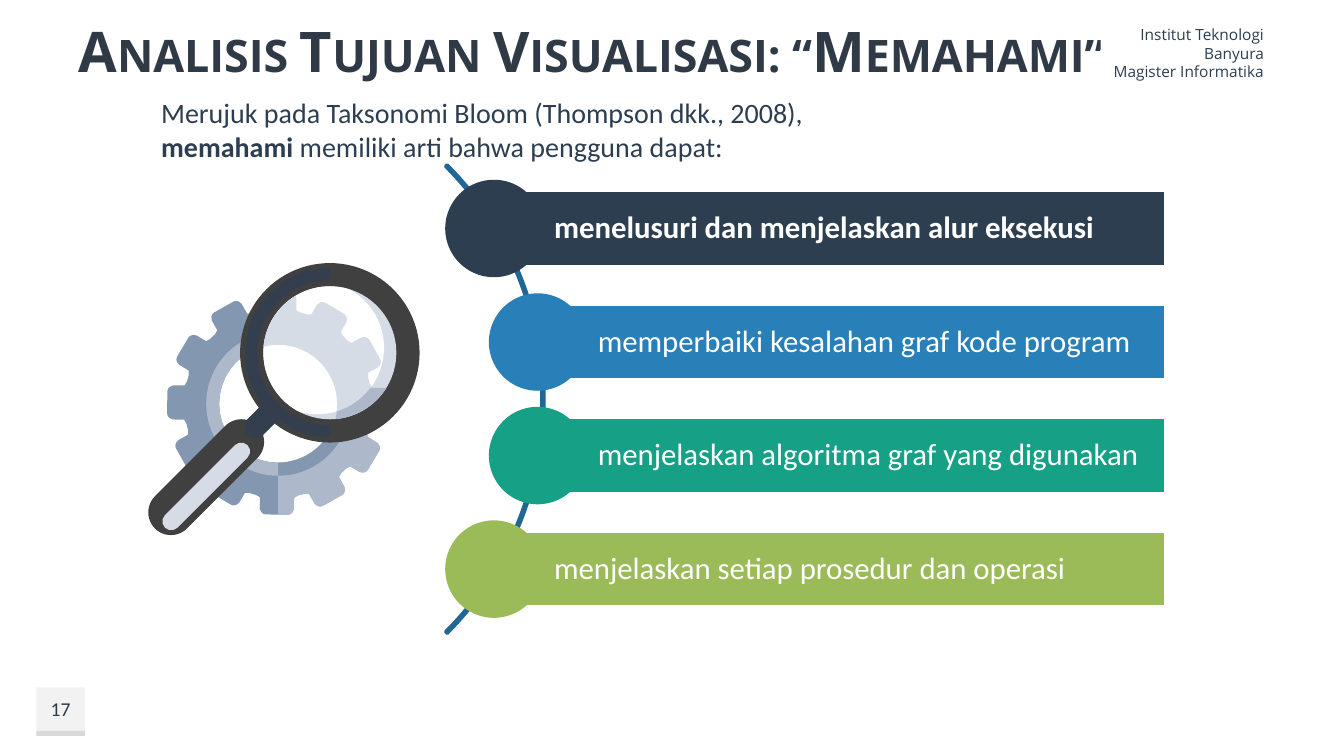
from dataclasses import dataclass
from math import cos, radians, sin, sqrt

from pptx import Presentation
from pptx.dml.color import RGBColor
from pptx.enum.shapes import MSO_SHAPE
from pptx.enum.text import MSO_ANCHOR, PP_ALIGN
from pptx.util import Pt

Point = tuple[float, float]


@dataclass(frozen=True)
class Theme:
    head: str = "Open Sans"
    body: str = "Calibri"
    ink: str = "2F3A46"
    navy: str = "2C3E50"
    blue: str = "2980B9"
    teal: str = "16A085"
    lime: str = "9BBB59"
    arc: str = "216794"
    white: str = "FFFFFF"
    steel: str = "8497B0"
    mist: str = "ADB9CA"
    pale: str = "D6DCE5"
    coal: str = "404040"
    slate: str = "333F4F"
    tile: str = "F2F2F2"
    edge: str = "D9D9D9"
    title: float = 40
    band: float = 22
    lead: float = 20
    page: float = 14
    org: float = 11


@dataclass(frozen=True)
class Band:
    text: str
    left: float
    color: str
    bold: bool = False


@dataclass(frozen=True)
class Bar:
    """Rounded bar laid along the handle's diagonal."""
    mid: Point
    long: float
    wide: float
    color: str


T = Theme()
deck = Presentation()
deck.slide_width, deck.slide_height = Pt(960), Pt(540)
slide = deck.slides.add_slide(deck.slide_layouts[6])


# Drawing helpers
def paint(shape, fill: str | None, line: str | None = None):
    shape.shadow.inherit = False
    if fill:
        shape.fill.solid()
        shape.fill.fore_color.rgb = RGBColor.from_string(fill)
    else:
        shape.fill.background()
    if line:
        shape.line.color.rgb = RGBColor.from_string(line)
        shape.line.width = Pt(2)
    else:
        shape.line.fill.background()
    return shape


def draw(kind, x: float, y: float, w: float, h: float,
         fill: str | None, line: str | None = None):
    shape = slide.shapes.add_shape(kind, Pt(x), Pt(y), Pt(w), Pt(h))
    return paint(shape, fill, line)


def disc(mid: Point, r: float, fill: str, line: str | None = None):
    return draw(MSO_SHAPE.OVAL, mid[0] - r, mid[1] - r, 2 * r, 2 * r, fill, line)


def trace(fill: str, *loops: list[Point]) -> None:
    rings = [[(Pt(x), Pt(y)) for x, y in loop] for loop in loops]
    form = slide.shapes.build_freeform(*rings[0][0])
    form.add_line_segments(rings[0][1:])
    for ring in rings[1:]:
        form.move_to(*ring[0])
        form.add_line_segments(ring[1:])
    paint(form.convert_to_shape(), fill)


def style(para, size: float, color: str, face: str, bold: bool | None = None,
          align=PP_ALIGN.LEFT) -> None:
    para.alignment = align
    font = para.font
    font.size, font.name, font.bold = Pt(size), face, bold
    font.color.rgb = RGBColor.from_string(color)


def label(x: float, y: float, w: float, h: float, lines: list[str],
          size: float, color: str, face: str, bold: bool | None = None,
          align=PP_ALIGN.LEFT, anchor=MSO_ANCHOR.MIDDLE):
    frame = slide.shapes.add_textbox(Pt(x), Pt(y), Pt(w), Pt(h)).text_frame
    frame.word_wrap, frame.vertical_anchor = True, anchor
    frame.text = "\n".join(lines)
    for para in frame.paragraphs:
        style(para, size, color, face, bold, align)
    return frame


# Geometry helpers
def polar(mid: Point, r: float, deg: float) -> Point:
    return mid[0] + r * cos(radians(deg)), mid[1] + r * sin(radians(deg))


def arc(mid: Point, r: float, start: float, end: float) -> list[Point]:
    steps = 40
    return [polar(mid, r, start + (end - start) * i / steps) for i in range(steps + 1)]


def half(mid: Point, outer: float, inner: float, start: float) -> list[Point]:
    return arc(mid, outer, start, start + 180) + arc(mid, inner, start + 180, start)


def within(spot: Point, mid: Point, r: float) -> bool:
    return (spot[0] - mid[0]) ** 2 + (spot[1] - mid[1]) ** 2 < r * r


def teeth(mid: Point) -> list[Point]:
    side = [(67, 12.2), (75, 12.2), (77.4, 11.2), (78.7, 9.8), (79.2, 8)]
    tooth = [(r, -t) for r, t in side] + side[::-1]
    rim = []
    for k in range(12):
        deg = 30 * k - 89.3
        for r, t in tooth:
            x, y = polar(mid, r, deg)
            rim.append((x - t * sin(radians(deg)), y + t * cos(radians(deg))))
        rim += [polar(mid, 67, deg + turn) for turn in (13, 15, 17)]
    return rim


# Page number tile and title
draw(MSO_SHAPE.RECTANGLE, 26, 491, 34.6, 34.6, T.tile)
draw(MSO_SHAPE.RECTANGLE, 26, 522, 34.6, 3.6, T.edge)
label(26, 491, 34.6, 31, ["17"], T.page, T.ink, T.body, align=PP_ALIGN.CENTER)
head = label(49, 11.5, 756, 49, ["Analisis Tujuan Visualisasi: “Memahami”"],
             T.title, T.ink, T.head, True)
head.paragraphs[0].runs[0].font._element.set("cap", "small")

# Gear, with the tones of ring and body swapped between halves
hub, hole, rim = (198.7, 288.4), 42.1, 51.4
cog = teeth(hub)
right = [p for p in cog if p[0] > hub[0]]
trace(T.steel, cog, arc(hub, hole, 360, 0))
trace(T.mist, [polar(hub, 79.2, -90), *right, polar(hub, 79.2, 90),
               *arc(hub, hole, 90, -90)])
trace(T.steel, half(hub, rim, hole, -90))
trace(T.mist, half(hub, rim, hole, 90))

# Magnifier handle, frame and glass
def rod(bar: Bar) -> None:
    shape = draw(MSO_SHAPE.ROUNDED_RECTANGLE, bar.mid[0] - bar.long / 2,
                 bar.mid[1] - bar.wide / 2, bar.long, bar.wide, bar.color)
    shape.adjustments[0], shape.rotation = 0.5, 315


eye, pane, glow = (235.6, 252), 47.5, (226.8, 248.4)
rod(Bar((147.3, 340.8), 103.6, 32.4, T.coal))
rod(Bar((147.3, 347.4), 83.4, 12.6, T.pale))
disc(eye, 64.1, T.coal)
disc(eye, pane, T.pale)
shine = []
for deg in range(0, 360, 4):
    dot = (glow[0] - eye[0]) * cos(radians(deg)) + (glow[1] - eye[1]) * sin(radians(deg))
    gap = (glow[0] - eye[0]) ** 2 + (glow[1] - eye[1]) ** 2
    shine.append(polar(eye, min(pane, dot + sqrt(pane ** 2 - gap + dot ** 2)), deg))
trace(T.white, shine)
rod(Bar((187.9, 299.6), 31, 16, T.slate))
trace(T.slate, half(eye, 60.4, 51.8, 90))

# Gear seen through the glass
low = arc(eye, pane, 32, 85)
seen = [p for p in right if within(p, eye, pane)]
trace(T.pale, arc(eye, pane, 185, 239) + seen + low + arc(hub, hole, 8, -104))
trace(T.mist, low + arc(glow, pane, 73, 37))

# Arc and its bands
bow = draw(MSO_SHAPE.BLOCK_ARC, -85, 48.2, 473.8, 473.8, None, T.arc)
for i, value in enumerate((189, 27, 0.004)):
    bow.adjustments[i] = value

BANDS = [
    Band("menelusuri dan menjelaskan alur eksekusi", 352.8, T.navy, True),
    Band("memperbaiki kesalahan graf kode program", 384, T.blue),
    Band("menjelaskan algoritma graf yang digunakan", 384, T.teal),
    Band("menjelaskan setiap prosedur dan operasi", 352.8, T.lime),
]
for i, band in enumerate(BANDS):
    mid = 163.2 + 81.1 * i
    box = draw(MSO_SHAPE.RECTANGLE, band.left, mid - 27, 832.3 - band.left, 54,
               band.color, T.white)
    frame = box.text_frame
    frame.word_wrap, frame.vertical_anchor = True, MSO_ANCHOR.MIDDLE
    frame.margin_left = Pt(43)
    frame.margin_right = frame.margin_top = frame.margin_bottom = Pt(4.3)
    frame.text = band.text
    frame.paragraphs[0].line_spacing = 0.9
    style(frame.paragraphs[0], T.band, T.white, T.body, band.bold)
    disc((band.left, mid), 33.8, band.color, band.color)

# Institution and lead text
draw(MSO_SHAPE.RECTANGLE, 786.2, 20.9, 123.8, 33.8, T.white)
label(786.2, 20.9, 123.8, 33.8, ["Institut Teknologi Banyura", "Magister Informatika"],
      T.org, T.navy, T.head, align=PP_ALIGN.RIGHT)
lead = label(108, 64.8, 490, 55.4,
             ["Merujuk pada Taksonomi Bloom (Thompson dkk., 2008),", ""],
             T.lead, T.navy, T.body, anchor=MSO_ANCHOR.TOP)
for text, bold in (("memahami", True), (" memiliki arti bahwa pengguna dapat:", False)):
    run = lead.paragraphs[1].add_run()
    run.text, run.font.bold = text, bold

deck.save("out.pptx")
